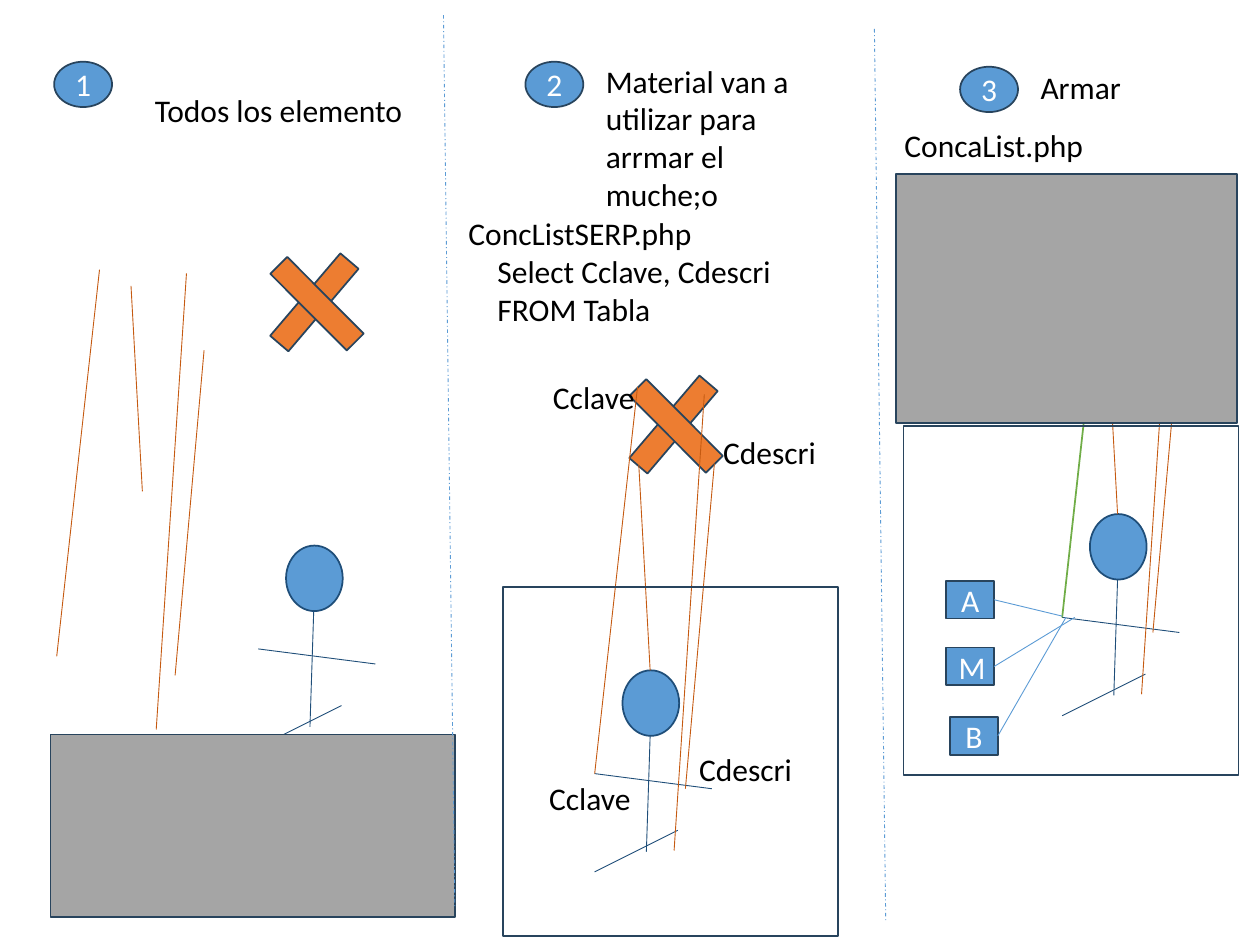
from typing import NamedTuple, Optional

from lxml.etree import SubElement
from pptx import Presentation
from pptx.dml.color import RGBColor
from pptx.enum.dml import MSO_LINE
from pptx.enum.shapes import MSO_CONNECTOR, MSO_SHAPE
from pptx.enum.text import MSO_ANCHOR, MSO_AUTO_SIZE, PP_ALIGN
from pptx.oxml.ns import qn
from pptx.util import Inches, Pt

BLUE = RGBColor(0x5B, 0x9B, 0xD5)
NAVY = RGBColor(0x1F, 0x4E, 0x79)
OUTLINE = RGBColor(0x28, 0x44, 0x5D)
ORANGE = RGBColor(0xED, 0x7D, 0x31)
RUST = RGBColor(0xC5, 0x5A, 0x11)
GREEN = RGBColor(0x70, 0xAD, 0x47)
GRAY = RGBColor(0xA5, 0xA5, 0xA5)
BLACK = RGBColor(0, 0, 0)
WHITE = RGBColor(0xFF, 0xFF, 0xFF)


class Point(NamedTuple):
    x: float
    y: float

    def moved(self, offset: "Point") -> "Point":
        return Point(self.x + offset.x, self.y + offset.y)


class Box(NamedTuple):
    left: float
    top: float
    width: float
    height: float


class Label(NamedTuple):
    box: Box
    lines: tuple[str, ...]
    wrap: bool = True


class Tag(NamedTuple):
    letter: str
    corner: Point
    target: Point


class String(NamedTuple):
    anchor: Point
    span: Point


LIMBS = (
    (Point(0.22, 0.52), Point(0.19, 1.44)),
    (Point(-0.22, 0.82), Point(0.71, 0.94)),
    (Point(-0.22, 1.6), Point(0.44, 1.27)),
)
STRINGS = (
    String(Point(0.13, -1.63), Point(0.09, 1.63)),
    String(Point(0.12, -2.25), Point(-0.34, 3.07)),
    String(Point(0.73, -1.64), Point(-0.23, 2.58)),
    String(Point(0.65, -2.19), Point(-0.24, 3.62)),
)
LOOSE_STARTS = (Point(1.04, 2.27), Point(0.79, 2.14), Point(1.62, 2.78), Point(1.48, 2.17))
HEADS = (Point(2.27, 4.33), Point(4.94, 5.32), Point(8.65, 4.08))
CROSSES = (Point(2.4, 1.97), Point(5.25, 2.94))
STEPS = (Point(0.43, 0.49), Point(4.17, 0.49), Point(7.62, 0.53))
DIVIDERS = (Point(3.52, 0.12), Point(6.94, 0.23))
CURTAINS = (Box(0.4, 5.83, 3.21, 1.45), Box(7.11, 1.38, 2.71, 1.98))
FRAMES = (Box(3.99, 4.66, 2.66, 2.77), Box(7.17, 3.38, 2.66, 2.77))
LABELS = (
    Label(Box(1.13, 0.67, 2.19, 0.4), ("Todos los elemento",), False),
    Label(Box(4.71, 0.44, 1.93, 1.31), ("Material van a utilizar para arrmar el muche;o",)),
    Label(Box(3.62, 1.65, 2.83, 1.01),
          ("ConcListSERP.php", "Select Cclave, Cdescri", "FROM Tabla")),
    Label(Box(4.29, 2.95, 0.98, 0.4), ("Cclave",)),
    Label(Box(5.64, 3.39, 1.31, 0.4), ("Cdescri",)),
    Label(Box(4.26, 6.13, 0.98, 0.4), ("Cclave",)),
    Label(Box(5.45, 5.9, 1.31, 0.4), ("Cdescri",)),
    Label(Box(8.16, 0.49, 0.85, 0.4), ("Armar",), False),
    Label(Box(7.08, 0.95, 2.83, 0.4), ("ConcaList.php",)),
)
TAGS = (
    Tag("A", Point(7.51, 4.61), Point(8.43, 4.89)),
    Tag("M", Point(7.51, 5.14), Point(8.53, 4.9)),
    Tag("B", Point(7.54, 5.69), Point(8.46, 4.9)),
)


def style_text(paragraph, text: str, color: RGBColor) -> None:
    paragraph.text = text
    paragraph.font.name = "Calibri"
    paragraph.font.size = Pt(18)
    paragraph.font.color.rgb = color


def draw_shape(slide, preset: MSO_SHAPE, box: Box, fill: Optional[RGBColor],
               outline: RGBColor = OUTLINE, text: str = "", rotation: float = 0):
    shape = slide.shapes.add_shape(preset, *map(Inches, box))
    shape.shadow.inherit = False
    shape.rotation = rotation
    if fill is None:
        shape.fill.background()
    else:
        shape.fill.solid()
        shape.fill.fore_color.rgb = fill
    shape.line.color.rgb = outline
    shape.line.width = Pt(1)
    if text:
        shape.text_frame.vertical_anchor = MSO_ANCHOR.MIDDLE
        paragraph = shape.text_frame.paragraphs[0]
        style_text(paragraph, text, WHITE)
        paragraph.alignment = PP_ALIGN.CENTER
    return shape


def draw_line(slide, start: Point, end: Point, color: RGBColor, width: float = 0.5):
    connector = slide.shapes.add_connector(
        MSO_CONNECTOR.STRAIGHT, *map(Inches, (*start, *end)))
    connector.line.color.rgb = color
    connector.line.width = Pt(width)
    SubElement(connector._element.spPr, qn("a:effectLst"))
    return connector


def draw_label(slide, label: Label) -> None:
    frame = slide.shapes.add_textbox(*map(Inches, label.box)).text_frame
    frame.word_wrap = label.wrap
    frame.auto_size = MSO_AUTO_SIZE.SHAPE_TO_FIT_TEXT
    for index, text in enumerate(label.lines):
        paragraph = frame.add_paragraph() if index else frame.paragraphs[0]
        style_text(paragraph, text, BLACK)
        if index:
            paragraph._p.get_or_add_pPr().set("marL", str(Inches(0.23)))


def draw_puppet(slide, head: Point) -> None:
    draw_shape(slide, MSO_SHAPE.OVAL, Box(*head, 0.45, 0.52), BLUE, NAVY)
    for start, end in LIMBS:
        draw_line(slide, head.moved(start), head.moved(end), NAVY)


def draw_cross(slide, corner: Point) -> None:
    for shift, rotation in ((0, 40.4), (0.02, 135.1)):
        bar = Box(corner.x + shift, corner.y + shift / 2, 0.19, 0.86)
        draw_shape(slide, MSO_SHAPE.RECTANGLE, bar, ORANGE, rotation=rotation)


def draw_strings(slide, starts: list[Point], has_green_hand: bool = False) -> None:
    for index, (start, string) in enumerate(zip(starts, STRINGS)):
        is_green = has_green_hand and index == 1
        draw_line(slide, start, start.moved(string.span),
                  GREEN if is_green else RUST, 1 if is_green else 0.5)


def draw_tag(slide, tag: Tag) -> None:
    shape = draw_shape(slide, MSO_SHAPE.RECTANGLE, Box(*tag.corner, 0.38, 0.3),
                       BLUE, text=tag.letter)
    start = tag.corner.moved(Point(0.38, 0.15))
    draw_line(slide, start, tag.target, BLUE).begin_connect(shape, 3)


def main() -> None:
    presentation = Presentation()
    presentation.slide_width = Inches(10)
    presentation.slide_height = Inches(7.5)
    slide = presentation.slides.add_slide(presentation.slide_layouts[6])

    for head in HEADS:
        draw_puppet(slide, head)
    for corner in CROSSES:
        draw_cross(slide, corner)
    draw_strings(slide, list(LOOSE_STARTS))
    for head in HEADS[1:]:
        starts = [head.moved(string.anchor) for string in STRINGS]
        draw_strings(slide, starts, has_green_hand=head == HEADS[2])
    for frame in FRAMES:
        draw_shape(slide, MSO_SHAPE.RECTANGLE, frame, None)
    for curtain in CURTAINS:
        draw_shape(slide, MSO_SHAPE.RECTANGLE, curtain, GRAY)
    for top in DIVIDERS:
        divider = draw_line(slide, top, top.moved(Point(0.09, 7.09)), BLUE)
        divider.line.dash_style = MSO_LINE.DASH_DOT
    for number, corner in enumerate(STEPS, start=1):
        draw_shape(slide, MSO_SHAPE.OVAL, Box(*corner, 0.46, 0.36), BLUE, text=str(number))
    for label in LABELS:
        draw_label(slide, label)
    for tag in TAGS:
        draw_tag(slide, tag)

    presentation.save("out.pptx")


if __name__ == "__main__":
    main()
